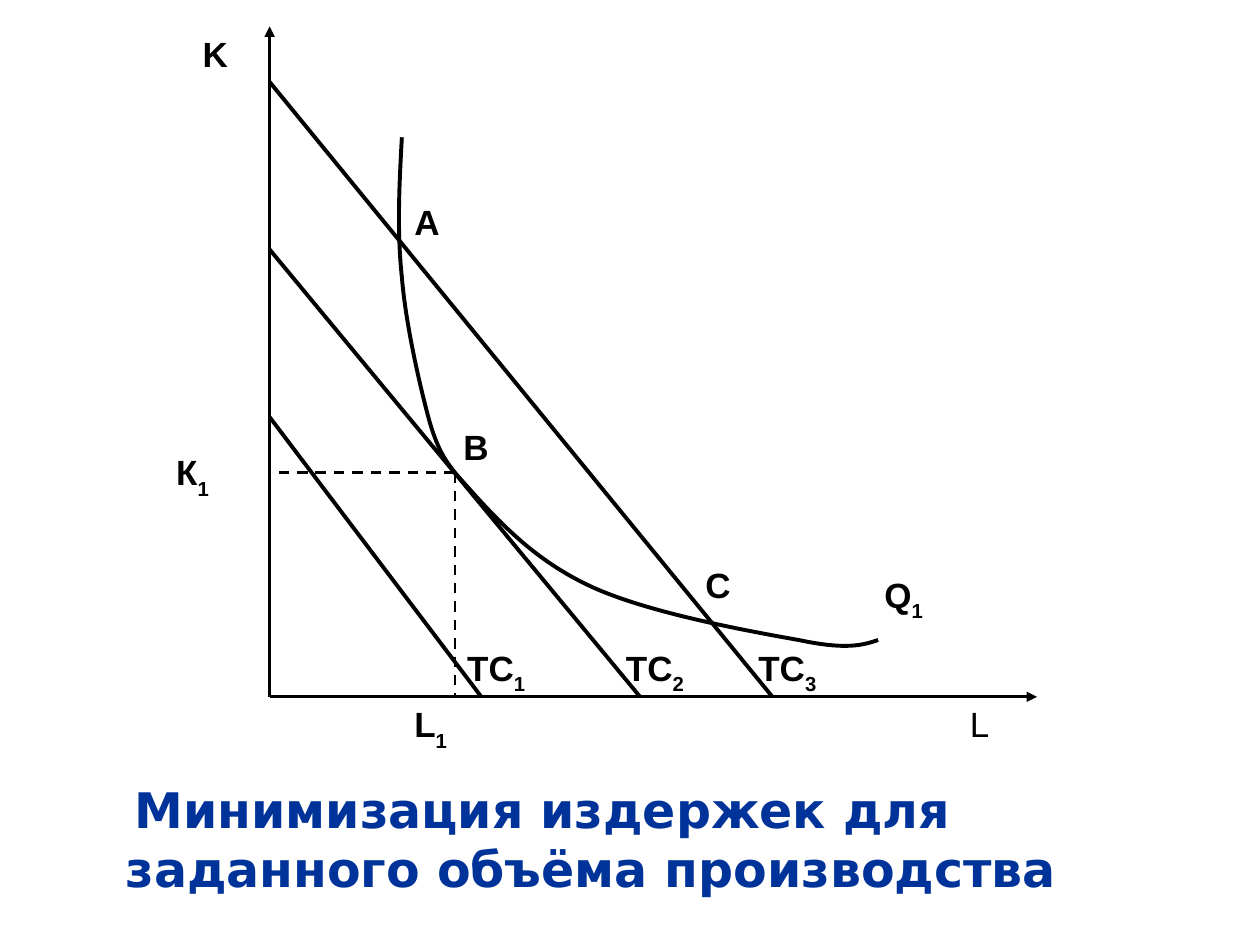
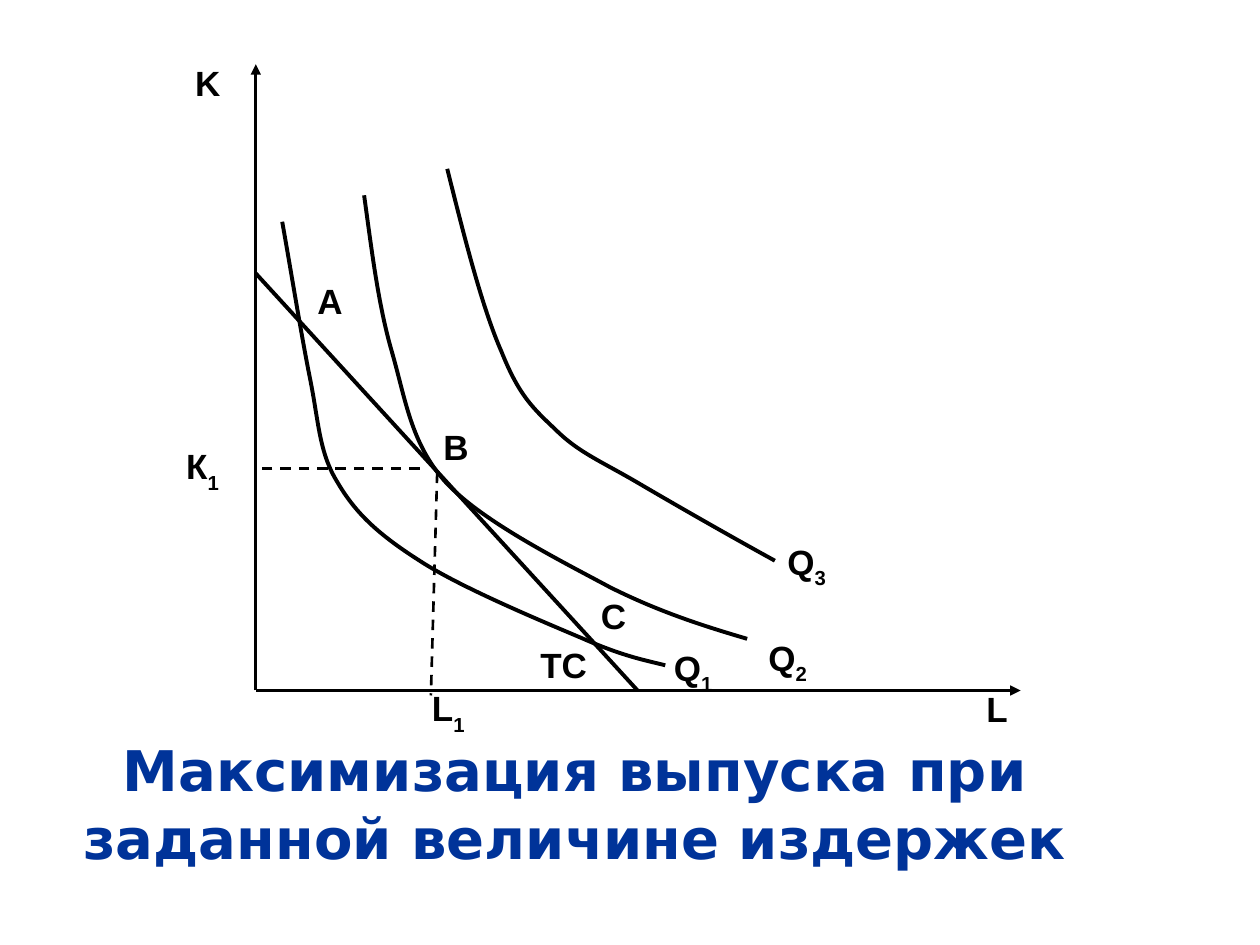
import dataclasses

import pptx
import pptx.dml.color
import pptx.enum.dml
import pptx.enum.shapes
import pptx.enum.text
import pptx.oxml.ns
import pptx.util
from lxml import etree
from pptx.util import Inches


@dataclasses.dataclass(frozen=True)
class Theme:
    ink: str = "000000"
    paper: str = "FFFFFF"
    title: str = "003399"
    label_font: str = "Arial"
    title_font: str = "DejaVu Sans"
    label_size: int = 20
    thin: float = 1.5
    thick: float = 2.25


def colour(value):
    return pptx.dml.color.RGBColor.from_string(value)


def bend_segments(shape):
    """Turn every three line segments of a freeform into one cubic Bezier segment."""
    tag = pptx.oxml.ns.qn
    outline = next(shape._element.iter(tag("a:path")))
    lines = outline.findall(tag("a:lnTo"))
    for first in range(0, len(lines), 3):
        segment = etree.SubElement(outline, tag("a:cubicBezTo"))
        for line in lines[first:first + 3]:
            segment.append(line[0])
            outline.remove(line)


class DiagramDeck:
    def __init__(self, theme):
        self.theme = theme
        self.deck = pptx.Presentation()
        self.deck.slide_width, self.deck.slide_height = Inches(10), Inches(7.5)
        self.page = None

    def new_page(self):
        self.page = self.deck.slides.add_slide(self.deck.slide_layouts[6])
        fill = self.page.background.fill
        fill.solid()
        fill.fore_color.rgb = colour(self.theme.paper)

    def style_line(self, line, width):
        line.color.rgb = colour(self.theme.ink)
        line.width = pptx.util.Pt(width)

    def style_span(self, span, font, size, text_colour, bold=True):
        span.font.name = font
        span.font.size = pptx.util.Pt(size)
        span.font.bold = bold
        span.font.color.rgb = colour(text_colour)

    def line(self, start, end, width=None, arrow=False, dashed=False):
        connector = self.page.shapes.add_connector(
            pptx.enum.shapes.MSO_CONNECTOR.STRAIGHT, *map(Inches, start + end))
        self.style_line(connector.line, width or self.theme.thick)
        if dashed:
            connector.line.dash_style = pptx.enum.dml.MSO_LINE.DASH
        if arrow:
            tail = etree.SubElement(connector.line._get_or_add_ln(),
                                    pptx.oxml.ns.qn("a:tailEnd"))
            tail.set("type", "triangle")
        etree.SubElement(connector._element.spPr, pptx.oxml.ns.qn("a:effectLst"))

    def axes(self, origin, top, right):
        self.line(origin, (origin[0], top), self.theme.thin, arrow=True)
        self.line(origin, (right, origin[1]), self.theme.thin, arrow=True)

    def guide(self, start, end):
        self.line(start, end, self.theme.thin, dashed=True)

    def curve(self, points):
        """Smooth curve: a start point, then three points per Bezier segment."""
        start, *rest = [tuple(map(Inches, point)) for point in points]
        builder = self.page.shapes.build_freeform(*start)
        builder.add_line_segments(rest, close=False)
        shape = builder.convert_to_shape()
        bend_segments(shape)
        shape.shadow.inherit = False
        shape.fill.background()
        self.style_line(shape.line, self.theme.thick)

    def label(self, text, left, top, width, height, bold=True):
        """White box with a label; what follows "_" is a subscript."""
        box = self.page.shapes.add_shape(pptx.enum.shapes.MSO_SHAPE.RECTANGLE,
                                         *map(Inches, (left, top, width, height)))
        box.shadow.inherit = False
        box.fill.solid()
        box.fill.fore_color.rgb = colour(self.theme.paper)
        box.line.fill.background()
        box.text_frame.vertical_anchor = pptx.enum.text.MSO_ANCHOR.TOP
        para = box.text_frame.paragraphs[0]
        para.alignment = pptx.enum.text.PP_ALIGN.LEFT
        name, _, index = text.partition("_")
        for part in filter(None, (name, index)):
            span = para.add_run()
            span.text = part
            self.style_span(span, self.theme.label_font, self.theme.label_size,
                            self.theme.ink, bold)
        if index:
            span.font._element.set("baseline", "-30000")

    def title(self, text, place, size, align, first_indent=0):
        box = self.page.shapes.add_textbox(*map(Inches, place))
        frame = box.text_frame
        frame.word_wrap = True
        frame.margin_top = Inches(0.24)
        frame.text = text
        for para in frame.paragraphs:
            para.alignment = align
            self.style_span(para.runs[0], self.theme.title_font, size, self.theme.title)
        if first_indent:
            frame.paragraphs[0]._p.get_or_add_pPr().set("indent", str(Inches(first_indent)))


def cost_minimum(board):
    board.new_page()
    narrow, wide, height = 0.63, 0.84, 0.66
    for text, left, top, width in (
            ("К_1", 1.3, 3.53, wide), ("L_1", 3.19, 5.53, wide),
            ("В", 3.58, 3.33, narrow), ("С", 5.5, 4.42, narrow),
            ("А", 3.19, 1.54, narrow), ("Q_1", 6.92, 4.5, wide),
            ("K", 1.51, 0.21, narrow), ("L", 7.6, 5.53, narrow),
            ("ТС_3", 5.92, 5.08, wide), ("ТС_2", 4.87, 5.08, wide),
            ("ТС_1", 3.61, 5.08, wide)):
        board.label(text, left, top, width, height, bold=text != "L")
    origin = left, floor = 2.14, 5.53
    board.axes(origin, 0.21, 8.23)
    for cost_top, cost_right in ((3.31, 3.82), (1.98, 5.08), (0.65, 6.13)):
        board.line((left, cost_top), (cost_right, floor))
    optimum = (3.61, 3.75)
    board.curve([optimum, (3.91, 4.09), (4.2, 4.42), (4.66, 4.64),
                 (5.11, 4.86), (5.95, 5.01), (6.34, 5.08),
                 (6.72, 5.16), (6.85, 5.12), (6.97, 5.08)])
    board.curve([optimum, (3.54, 3.66), (3.47, 3.57), (3.4, 3.31),
                 (3.33, 3.05), (3.22, 2.57), (3.19, 2.2),
                 (3.15, 1.83), (3.17, 1.46), (3.19, 1.09)])
    board.guide(optimum, (left, optimum[1]))
    board.guide(optimum, (optimum[0], floor))
    board.title("Минимизация издержек для\nзаданного объёма производства",
                (0.9, 5.95, 7.62, 1.57), 28, pptx.enum.text.PP_ALIGN.LEFT, 0.07)


def output_maximum(board):
    board.new_page()
    narrow, wide, height = 0.65, 0.87, 0.62
    for text, left, top, width in (
            ("K", 1.45, 0.44, narrow), ("Q_1", 5.25, 5.08, narrow),
            ("К_1", 1.38, 3.48, wide), ("L_1", 3.33, 5.4, wide),
            ("В", 3.42, 3.33, narrow), ("С", 4.67, 4.67, narrow),
            ("А", 2.42, 2.17, narrow), ("Q_3", 6.15, 4.24, wide),
            ("L", 7.73, 5.41, narrow), ("Q_2", 6, 5, wide)):
        board.label(text, left, top, width, height)
    board.label("ТС", 4.19, 5.06, 0.81, 0.83)
    origin = left, floor = 2.03, 5.48
    board.axes(origin, 0.51, 8.1)
    board.line((left, 2.17), (5.06, floor))
    board.curve([(2.89, 1.55), (2.95, 1.98), (3, 2.41), (3.11, 2.79),
                 (3.22, 3.17), (3.26, 3.52), (3.54, 3.83),
                 (3.83, 4.14), (4.45, 4.45), (4.84, 4.66),
                 (5.24, 4.86), (5.59, 4.97), (5.93, 5.07)])
    board.curve([(2.24, 1.76), (2.32, 2.21), (2.39, 2.65), (2.46, 3),
                 (2.53, 3.34), (2.53, 3.59), (2.68, 3.83),
                 (2.82, 4.07), (3, 4.24), (3.33, 4.45),
                 (3.65, 4.66), (4.3, 4.93), (4.63, 5.07),
                 (4.95, 5.21), (5.12, 5.24), (5.28, 5.28)])
    board.curve([(3.55, 1.34), (3.69, 1.9), (3.83, 2.45), (3.98, 2.79),
                 (4.12, 3.14), (4.23, 3.24), (4.41, 3.41),
                 (4.59, 3.59), (4.77, 3.66), (5.06, 3.83),
                 (5.35, 4), (5.75, 4.23), (6.15, 4.45)])
    board.guide((3.33, 3.72), (left, 3.72))
    board.guide((3.47, 3.75), (3.42, 5.52))
    board.title("Максимизация выпуска при заданной величине издержек",
                (0, 5.6, 9.13, 1.9), 32, pptx.enum.text.PP_ALIGN.CENTER)


def main():
    board = DiagramDeck(Theme())
    cost_minimum(board)
    output_maximum(board)
    board.deck.save("out.pptx")


if __name__ == "__main__":
    main()
